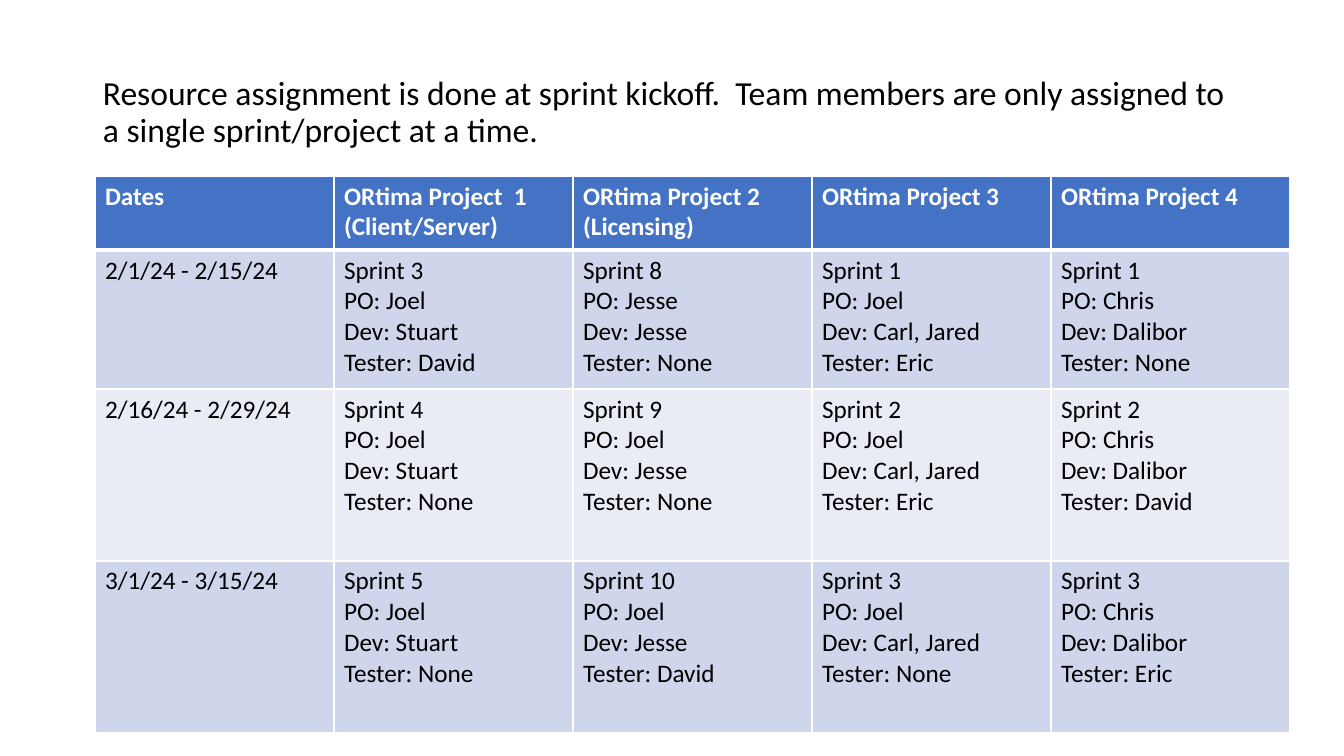
from dataclasses import dataclass

from lxml import etree
from pptx import Presentation
from pptx.dml.color import RGBColor
from pptx.enum.text import MSO_ANCHOR
from pptx.oxml.ns import qn
from pptx.util import Emu, Pt

MIDDLE = MSO_ANCHOR.MIDDLE
TOP = MSO_ANCHOR.TOP
EMU_PER_PX = 914400 / 100.8
BLANK_LAYOUT = 6


@dataclass(frozen=True)
class Theme:
    font: str = "Calibri"
    title_size: int = 24
    cell_size: int = 18
    text: str = "000000"
    white: str = "FFFFFF"
    header: str = "4472C4"
    bands: tuple = ("CFD5EA", "E9EBF5")
    thin: int = 1
    thick: int = 3


TITLE = (
    "Resource assignment is done at sprint kickoff.  Team members are only "
    "assigned to a single sprint/project at a time."
)
HEADERS = [
    "Dates",
    "ORtima Project  1 (Client/Server)",
    "ORtima Project 2 (Licensing)",
    "ORtima Project 3",
    "ORtima Project 4",
]
SCHEDULE = [
    ("2/1/24 - 2/15/24", [
        (3, "Joel", "Stuart", "David"),
        (8, "Jesse", "Jesse", "None"),
        (1, "Joel", "Carl, Jared", "Eric"),
        (1, "Chris", "Dalibor", "None"),
    ]),
    ("2/16/24 - 2/29/24", [
        (4, "Joel", "Stuart", "None"),
        (9, "Joel", "Jesse", "None"),
        (2, "Joel", "Carl, Jared", "Eric"),
        (2, "Chris", "Dalibor", "David"),
    ]),
    ("3/1/24 - 3/15/24", [
        (5, "Joel", "Stuart", "None"),
        (10, "Joel", "Jesse", "David"),
        (3, "Joel", "Carl, Jared", "None"),
        (3, "Chris", "Dalibor", "Eric"),
    ]),
]
COLUMN_WIDTH = 239
ROW_HEIGHTS = [74, 139, 172, 172]


def px(length):
    return Emu(round(length * EMU_PER_PX))


def assignment(sprint, owner, developers, tester):
    return f"Sprint {sprint}\nPO: {owner}\nDev: {developers}\nTester: {tester}"


class SlideBuilder:
    def __init__(self, slide, theme):
        self.slide = slide
        self.theme = theme

    def format_text(self, frame, size, color, bold=False):
        for para in frame.paragraphs:
            for span in para.runs:
                span.font.name = self.theme.font
                span.font.size = Pt(size)
                span.font.bold = bold
                span.font.color.rgb = RGBColor.from_string(color)

    def title(self, text, left, top, width, height):
        box = self.slide.shapes.add_textbox(px(left), px(top), px(width), px(height))
        frame = box.text_frame
        frame.word_wrap = True
        frame.vertical_anchor = MIDDLE
        frame.text = text
        para = frame.paragraphs[0]
        para.line_spacing = 0.9
        para.space_before = Pt(10)
        self.format_text(frame, self.theme.title_size, self.theme.text)

    def borders(self, cell, top, bottom):
        thin = self.theme.thin
        properties = cell._tc.get_or_add_tcPr()
        sides = {"lnL": thin, "lnR": thin, "lnT": top, "lnB": bottom}
        for side, width in sides.items():
            line = etree.SubElement(properties, qn(f"a:{side}"), w=str(Pt(width)))
            fill = etree.SubElement(line, qn("a:solidFill"))
            etree.SubElement(fill, qn("a:srgbClr"), val=self.theme.white)

    def cell(self, cell, text, row):
        theme = self.theme
        is_header = row == 0
        cell.text_frame.text = text
        cell.vertical_anchor = TOP
        self.format_text(
            cell.text_frame,
            theme.cell_size,
            theme.white if is_header else theme.text,
            is_header,
        )
        self.borders(
            cell,
            theme.thick if row == 1 else theme.thin,
            theme.thick if is_header else theme.thin,
        )
        band = theme.bands[(row - 1) % len(theme.bands)]
        cell.fill.solid()
        cell.fill.fore_color.rgb = RGBColor.from_string(
            theme.header if is_header else band
        )

    def table(self, rows, left, top, column_width, row_heights):
        count = len(rows[0])
        table = self.slide.shapes.add_table(
            len(rows), count, px(left), px(top),
            px(column_width * count), px(sum(row_heights)),
        ).table
        for column in table.columns:
            column.width = px(column_width)
        for row, (texts, height) in enumerate(zip(rows, row_heights)):
            table.rows[row].height = px(height)
            for column, text in enumerate(texts):
                self.cell(table.cell(row, column), text, row)


def main():
    deck = Presentation()
    deck.slide_width = px(1344)
    deck.slide_height = px(756)
    page = deck.slides.add_slide(deck.slide_layouts[BLANK_LAYOUT])
    builder = SlideBuilder(page, Theme())
    rows = [HEADERS] + [
        [dates] + [assignment(*team) for team in teams] for dates, teams in SCHEDULE
    ]
    builder.title(TITLE, 93, 40, 1159, 146)
    builder.table(rows, 95, 176, COLUMN_WIDTH, ROW_HEIGHTS)
    deck.save("out.pptx")


if __name__ == "__main__":
    main()
